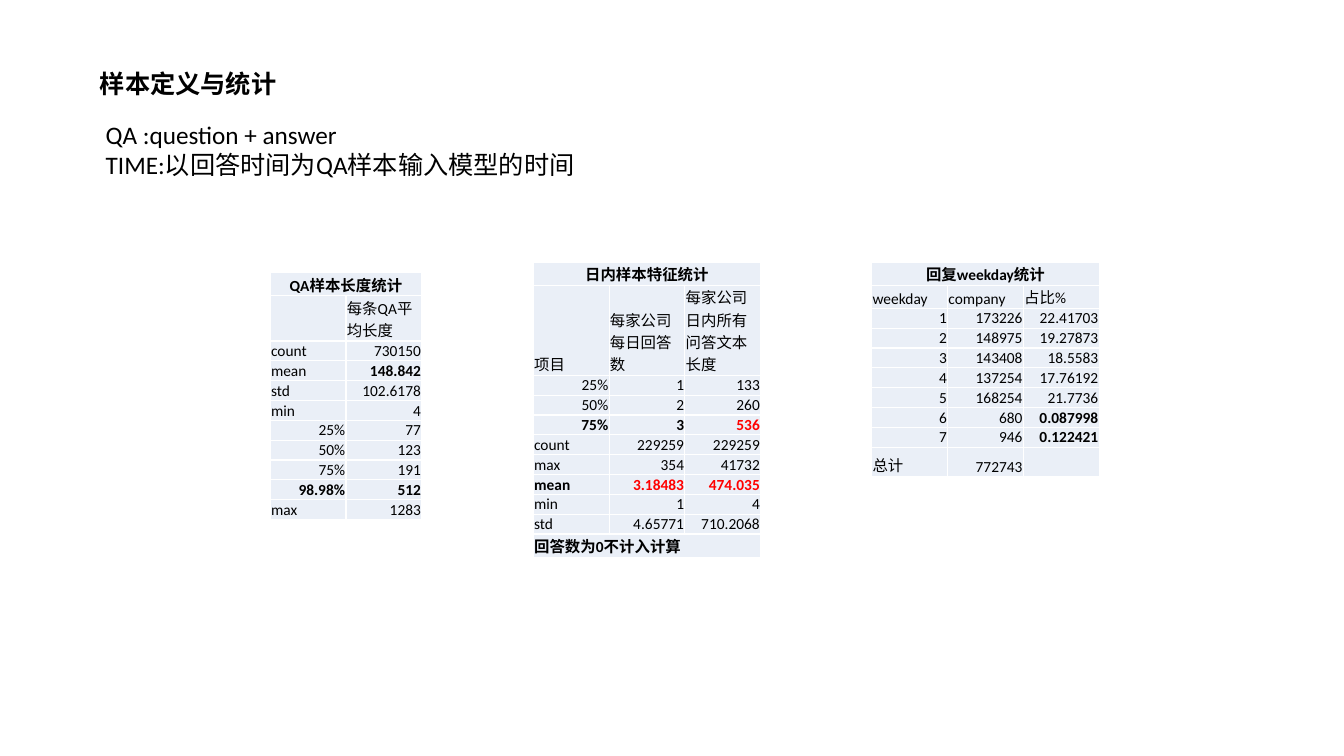
"""Build the slide on sample definition and statistics, with three tables."""
from pptx import Presentation
from pptx import util as u
from pptx.dml.color import RGBColor
from pptx.enum import text

BLACK = RGBColor(0x00, 0x00, 0x00)
RED = RGBColor(0xFF, 0x00, 0x00)
PALE_BLUE = RGBColor(0xEA, 0xEF, 0xF7)
COLUMN_WIDTH = u.Cm(1.91)
ROW_HEIGHT = u.Cm(0.49)
LEFT, CENTER, RIGHT = text.PP_ALIGN.LEFT, text.PP_ALIGN.CENTER, text.PP_ALIGN.RIGHT


def apply(target, values):
    for name, value in values.items():
        setattr(target, name, value)


def write(para, words, size, bold, color, alignment):
    apply(para, {"alignment": alignment, "space_before": u.Pt(0)})
    span = para.add_run()
    span.text = words
    apply(span.font, {"name": "Calibri", "size": u.Pt(size), "bold": bold})
    span.font.color.rgb = color


deck = Presentation()
apply(deck, {"slide_width": u.Cm(33.87), "slide_height": u.Cm(19.05)})
page = deck.slides.add_slide(deck.slide_layouts.get_by_name("Section Header"))
title, body = page.placeholders

text_boxes = [
    (title, (1.17, 1.6, 7.14, 1.02), ["样本定义与统计"], True, CENTER),
    (body, (2.41, 2.87, 14.48, 2.57),
     ["QA :question + answer", "TIME:以回答时间为QA样本输入模型的时间"], False, LEFT),
]
for box, place, lines, bold, alignment in text_boxes:
    apply(box, dict(zip(("left", "top", "width", "height"), map(u.Cm, place))))
    frame = box.text_frame
    apply(frame, {"vertical_anchor": text.MSO_ANCHOR.TOP, "word_wrap": True,
                  "auto_size": text.MSO_AUTO_SIZE.NONE})
    for index, line in enumerate(lines):
        para = frame.add_paragraph() if index else frame.paragraphs[0]
        write(para, line, 18, bold, BLACK, alignment)

length_rows = [
    ["QA样本长度统计", ""],
    ["", "每条QA平均长度"],
    ["count", "730150"],
    ["mean", "148.842"],
    ["std", "102.6178"],
    ["min", "4"],
    ["25%", "77"],
    ["50%", "123"],
    ["75%", "191"],
    ["98.98%", "512"],
    ["max", "1283"],
]
daily_rows = [
    ["日内样本特征统计", "", ""],
    ["项目", "每家公司每日回答数", "每家公司日内所有问答文本长度"],
    ["25%", "1", "133"],
    ["50%", "2", "260"],
    ["75%", "3", "536"],
    ["count", "229259", "229259"],
    ["max", "354", "41732"],
    ["mean", "3.18483", "474.035"],
    ["min", "1", "4"],
    ["std", "4.65771", "710.2068"],
    ["回答数为0不计入计算", "", ""],
]
weekday_rows = [
    ["回复weekday统计", "", ""],
    ["weekday", "company", "占比%"],
    ["1", "173226", "22.41703"],
    ["2", "148975", "19.27873"],
    ["3", "143408", "18.5583"],
    ["4", "137254", "17.76192"],
    ["5", "168254", "21.7736"],
    ["6", "680", "0.087998"],
    ["7", "946", "0.122421"],
    ["总计", "772743", ""],
]
tables = [
    (6.81, 6.86, length_rows, [0], {"148.842", "98.98%", "512"}, set()),
    (13.44, 6.6, daily_rows, [0, 10],
     {"75%", "3", "536", "mean", "3.18483", "474.035"}, {"536", "3.18483", "474.035"}),
    (21.97, 6.6, weekday_rows, [0], {"0.087998", "0.122421"}, set()),
]
for left, top, rows, merged_rows, bold_words, red_words in tables:
    columns = len(rows[0])
    table = page.shapes.add_table(
        len(rows), columns, u.Cm(left), u.Cm(top),
        COLUMN_WIDTH * columns, ROW_HEIGHT * len(rows)).table
    apply(table, {"first_row": False, "horz_banding": False})
    for column in table.columns:
        column.width = COLUMN_WIDTH
    for row, values in enumerate(rows):
        table.rows[row].height = ROW_HEIGHT
        for column, words in enumerate(values):
            cell = table.cell(row, column)
            apply(cell, {"margin_left": u.Cm(0.02), "margin_right": u.Cm(0.02),
                         "margin_top": u.Cm(0.02), "margin_bottom": 0,
                         "vertical_anchor": text.MSO_ANCHOR.BOTTOM})
            cell.fill.solid()
            cell.fill.fore_color.rgb = PALE_BLUE
            numeric = words.strip("%").replace(".", "").isdigit()
            alignment = CENTER if row == 0 else RIGHT if numeric else LEFT
            write(cell.text_frame.paragraphs[0], words, 11,
                  row in merged_rows or words in bold_words,
                  RED if words in red_words else BLACK, alignment)
    for row in merged_rows:
        table.cell(row, 0).merge(table.cell(row, columns - 1))

deck.save("out.pptx")
